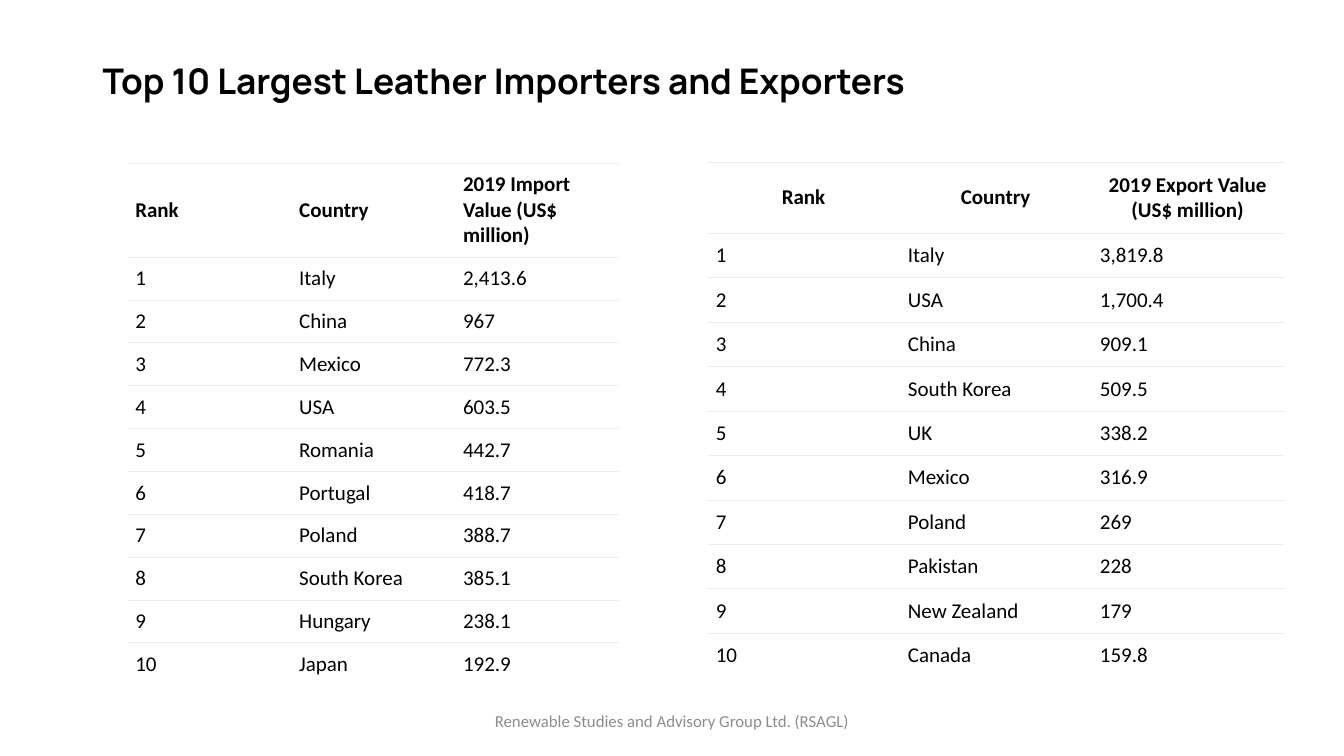
from lxml.etree import SubElement
from pptx import Presentation
from pptx.dml.color import RGBColor
from pptx.enum.text import MSO_ANCHOR, PP_ALIGN
from pptx.oxml.ns import qn
from pptx.util import Cm, Pt

TITLE = "Top 10 Largest Leather Importers and Exporters"
FOOTER = "Renewable Studies and Advisory Group Ltd. (RSAGL)"
COLORS = {"text": "000000", "footer": "8C8C8C", "rule": "EDEDED", "cell": "FFFFFF"}
IMPORTERS = [
    ("Italy", "2,413.6"), ("China", "967"), ("Mexico", "772.3"),
    ("USA", "603.5"), ("Romania", "442.7"), ("Portugal", "418.7"),
    ("Poland", "388.7"), ("South Korea", "385.1"), ("Hungary", "238.1"),
    ("Japan", "192.9"),
]
EXPORTERS = [
    ("Italy", "3,819.8"), ("USA", "1,700.4"), ("China", "909.1"),
    ("South Korea", "509.5"), ("UK", "338.2"), ("Mexico", "316.9"),
    ("Poland", "269"), ("Pakistan", "228"), ("New Zealand", "179"),
    ("Canada", "159.8"),
]
TABLES = [
    {"value": "2019 Import Value (US$ million)", "countries": IMPORTERS,
     "left": 3.2, "top": 4.11, "column": 4.13, "header": 2.37, "row": 1.08,
     "header_align": PP_ALIGN.LEFT},
    {"value": "2019 Export Value (US$ million)", "countries": EXPORTERS,
     "left": 17.83, "top": 4.09, "column": 4.84, "header": 1.79, "row": 1.12,
     "header_align": PP_ALIGN.CENTER},
]
INSET = Cm(0.21)


def style_text(paragraph, font_name, size, color, bold=False):
    for run in paragraph.runs:
        run.font.name = font_name
        run.font.size = Pt(size)
        run.font.bold = bold
        run.font.color.rgb = RGBColor.from_string(COLORS[color])


def set_borders(cell, ruled_sides):
    properties = cell._tc.get_or_add_tcPr()
    for side in "LRTB":
        line = SubElement(properties, qn(f"a:ln{side}"))
        if side in ruled_sides:
            line.set("w", str(Pt(0.75)))
            fill = SubElement(line, qn("a:solidFill"))
            SubElement(fill, qn("a:srgbClr"), val=COLORS["rule"])
        else:
            line.set("w", "0")
            SubElement(line, qn("a:noFill"))


def add_ranking(slide, ranking):
    rows = [("Rank", "Country", ranking["value"])]
    rows += [(str(rank), *entry) for rank, entry in enumerate(ranking["countries"], 1)]
    heights = [ranking["header"]] + [ranking["row"]] * len(ranking["countries"])
    table = slide.shapes.add_table(
        len(rows), 3, Cm(ranking["left"]), Cm(ranking["top"]),
        Cm(3 * ranking["column"]), Cm(sum(heights))).table
    table.horz_banding = False
    table.first_row = False
    for column in table.columns:
        column.width = Cm(ranking["column"])
    for row_index, values in enumerate(rows):
        table.rows[row_index].height = Cm(heights[row_index])
        is_header = row_index == 0
        is_last = row_index == len(rows) - 1
        for column_index, value in enumerate(values):
            cell = table.cell(row_index, column_index)
            cell.text_frame.text = value
            cell.vertical_anchor = MSO_ANCHOR.MIDDLE
            cell.margin_left = cell.margin_right = INSET
            cell.margin_top = cell.margin_bottom = INSET
            set_borders(cell, "T" if is_last else "TB")
            cell.fill.solid()
            cell.fill.fore_color.rgb = RGBColor.from_string(COLORS["cell"])
            paragraph = cell.text_frame.paragraphs[0]
            paragraph.alignment = ranking["header_align"] if is_header else PP_ALIGN.LEFT
            style_text(paragraph, "Calibri", 15, "text", bold=is_header)


def add_title(slide):
    title = slide.shapes.title
    title.left, title.top, title.width, title.height = Cm(2.33), Cm(0.93), Cm(29.21), Cm(2.31)
    title.text_frame.text = TITLE
    title.text_frame.vertical_anchor = MSO_ANCHOR.MIDDLE
    paragraph = title.text_frame.paragraphs[0]
    paragraph.alignment = PP_ALIGN.LEFT
    paragraph.line_spacing = 0.9
    style_text(paragraph, "Manrope", 25.2, "text", bold=True)


def add_footer(slide):
    footer = slide.shapes.add_textbox(Cm(11.22), Cm(17.65), Cm(11.43), Cm(1.01))
    footer.text_frame.word_wrap = True
    footer.text_frame.text = FOOTER
    footer.text_frame.vertical_anchor = MSO_ANCHOR.MIDDLE
    paragraph = footer.text_frame.paragraphs[0]
    paragraph.alignment = PP_ALIGN.CENTER
    style_text(paragraph, "Calibri", 12, "footer")


def main():
    presentation = Presentation()
    presentation.slide_width = Cm(33.87)
    presentation.slide_height = Cm(19.05)
    slide = presentation.slides.add_slide(presentation.slide_layouts[5])
    add_title(slide)
    for ranking in TABLES:
        add_ranking(slide, ranking)
    add_footer(slide)
    presentation.save("out.pptx")


if __name__ == "__main__":
    main()
